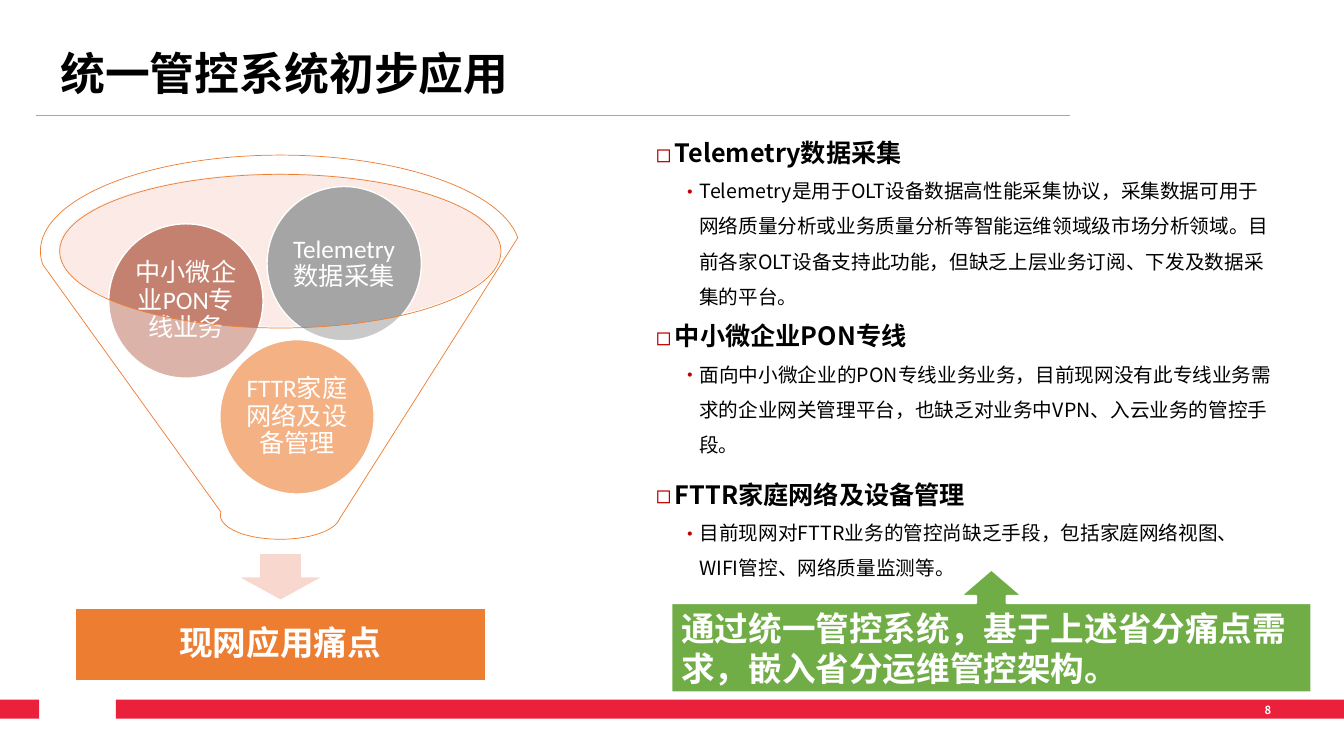
from lxml.etree import SubElement
from pptx import Presentation
from pptx.dml.color import RGBColor
from pptx.enum.shapes import MSO_CONNECTOR, MSO_SHAPE
from pptx.enum.text import MSO_ANCHOR, MSO_AUTO_SIZE, PP_ALIGN
from pptx.oxml.ns import qn
from pptx.util import Cm, Pt

SANS = "Noto Sans CJK SC"
RED = "EB203B"
ORANGE = "ED7D31"
WHITE = "FFFFFF"
BLACK = "000000"

TOPICS = [
    (2.95, 4.9, "Telemetry数据采集",
     "Telemetry是用于OLT设备数据高性能采集协议，采集数据可用于网络质量分析或业务质量分析等智能运维领域级市场分析领域。"
     "目前各家OLT设备支持此功能，但缺乏上层业务订阅、下发及数据采集的平台。"),
    (7.57, 3.99, "中小微企业PON专线",
     "面向中小微企业的PON专线业务业务，目前现网没有此专线业务需求的企业网关管理平台，也缺乏对业务中VPN、入云业务的管控手段。"),
    (11.56, 3.1, "FTTR家庭网络及设备管理",
     "目前现网对FTTR业务的管控尚缺乏手段，包括家庭网络视图、WIFI管控、网络质量监测等。"),
]
BALLS = [
    (5.54, 8.56, ORANGE, "FTTR家庭网络及设备管理"),
    (2.74, 5.64, "C48170", "中小微企业PON专线业务"),
    (6.73, 4.7, "A5A5A5", "Telemetry数据采集"),
]


def apply(item, values):
    for name, value in values.items():
        setattr(item, name, value)


def paint(format, color):
    format.solid()
    format.fore_color.rgb = RGBColor.from_string(color)


def place(shape, left, top, width, height):
    apply(shape, {"left": Cm(left), "top": Cm(top), "width": Cm(width), "height": Cm(height)})


def write(para, text, size, color=WHITE, bold=True, face=SANS, align=PP_ALIGN.LEFT, space=0.9):
    apply(para, {"alignment": align, "line_spacing": space})
    run = para.add_run()
    run.text = text
    apply(run.font, {"size": Pt(size), "bold": bold, "name": face})
    run.font.color.rgb = RGBColor.from_string(color)
    SubElement(run.font._element, qn("a:ea"), typeface=SANS)


def frame(shape, inset=None):
    body = shape.text_frame
    apply(body, {"word_wrap": True, "vertical_anchor": MSO_ANCHOR.MIDDLE,
                 "auto_size": MSO_AUTO_SIZE.NONE})
    if inset is not None:
        sides = ("margin_left", "margin_top", "margin_right", "margin_bottom")
        apply(body, dict.fromkeys(sides, Cm(inset)))
    return body


def draw(slide, kind, box, fill, edge=None, width=1, alpha=None):
    shape = slide.shapes.add_shape(kind, *map(Cm, box))
    shape.shadow.inherit = False
    paint(shape.fill, fill)
    if alpha:
        tint = shape.fill._xPr.find(qn("a:solidFill"))[0]
        SubElement(tint, qn("a:alpha"), val=str(alpha * 1000))
    if edge:
        paint(shape.line.fill, edge)
        shape.line.width = Pt(width)
    else:
        shape.line.fill.background()
    return shape


def bullet(para, mark, left, hang):
    props = para._p.get_or_add_pPr()
    props.set("marL", str(Cm(left)))
    props.set("indent", str(-Cm(hang)))
    SubElement(SubElement(props, qn("a:buClr")), qn("a:srgbClr"), val="C00000")
    SubElement(props, qn("a:buFont"), typeface=SANS)
    SubElement(props, qn("a:buChar"), char=mark)


def topic(slide, top, height, head, detail):
    box = slide.shapes.add_textbox(Cm(16.28), Cm(top), Cm(16.13), Cm(height))
    body = frame(box)
    body.vertical_anchor = MSO_ANCHOR.TOP
    first = body.paragraphs[0]
    write(first, head, 18, BLACK, space=1.5)
    bullet(first, "◻", 0.48, 0.48)
    second = body.add_paragraph()
    second.level = 1
    write(second, detail, 14, BLACK, bold=False, space=1.5)
    bullet(second, "•", 1.09, 0.48)


def base(slide):
    rule = slide.shapes.add_connector(MSO_CONNECTOR.STRAIGHT, Cm(0.91), Cm(2.9), Cm(26.97), Cm(2.9))
    paint(rule.line.fill, "A6A6A6")
    rule.line.width = Pt(0.75)
    SubElement(rule._element.spPr, qn("a:effectLst"))
    for left, width in ((2.92, 30.95), (0, 0.99)):
        draw(slide, MSO_SHAPE.RECTANGLE, (left, 17.63, width, 0.48), RED)
    number = slide.shapes.add_textbox(Cm(31.62), Cm(17.58), Cm(1.45), Cm(0.61))
    write(frame(number).paragraphs[0], "8", 8, space=1.0)
    title = slide.shapes.title
    place(title, 1.52, 1.19, 24.1, 1.45)
    write(frame(title, 0).paragraphs[0], "统一管控系统初步应用", 32, BLACK)


def funnel(slide):
    draw(slide, MSO_SHAPE.OVAL, (1.47, 4.37, 11.15, 3.86), "F6CCBE", alpha=40)
    draw(slide, MSO_SHAPE.DOWN_ARROW, (5.99, 13.94, 2.16, 1.19), "F8D7CE", WHITE)
    pain = draw(slide, MSO_SHAPE.RECTANGLE, (1.88, 15.32, 10.36, 1.85), ORANGE, WHITE, 1.5)
    write(frame(pain, 0.48).paragraphs[0], "现网应用痛点", 24, align=PP_ALIGN.CENTER)
    for left, top, color, text in BALLS:
        ball = draw(slide, MSO_SHAPE.OVAL, (left, top, 3.89, 3.89), color, WHITE)
        write(frame(ball, 0.08).paragraphs[0], text, 18, bold=False,
              face="Calibri", align=PP_ALIGN.CENTER)
    draw(slide, MSO_SHAPE.FUNNEL, (1.02, 3.91, 12.09, 9.68), WHITE, ORANGE, 0.5, alpha=40)


def result(slide):
    call = draw(slide, MSO_SHAPE.UP_ARROW_CALLOUT, (16.92, 14.35, 16.13, 3.1), "70AD47", WHITE, 1.5)
    for index, value in enumerate((0.25, 0.25, 0.215, 0.727)):
        call.adjustments[index] = value
    write(frame(call).paragraphs[0], "通过统一管控系统，基于上述省分痛点需求，嵌入省分运维管控架构。", 24, space=1.0)


def main():
    deck = Presentation()
    apply(deck, {"slide_width": Cm(33.87), "slide_height": Cm(19.05)})
    slide = deck.slides.add_slide(deck.slide_layouts[5])
    base(slide)
    funnel(slide)
    for item in TOPICS:
        topic(slide, *item)
    result(slide)
    deck.save("out.pptx")


if __name__ == "__main__":
    main()
